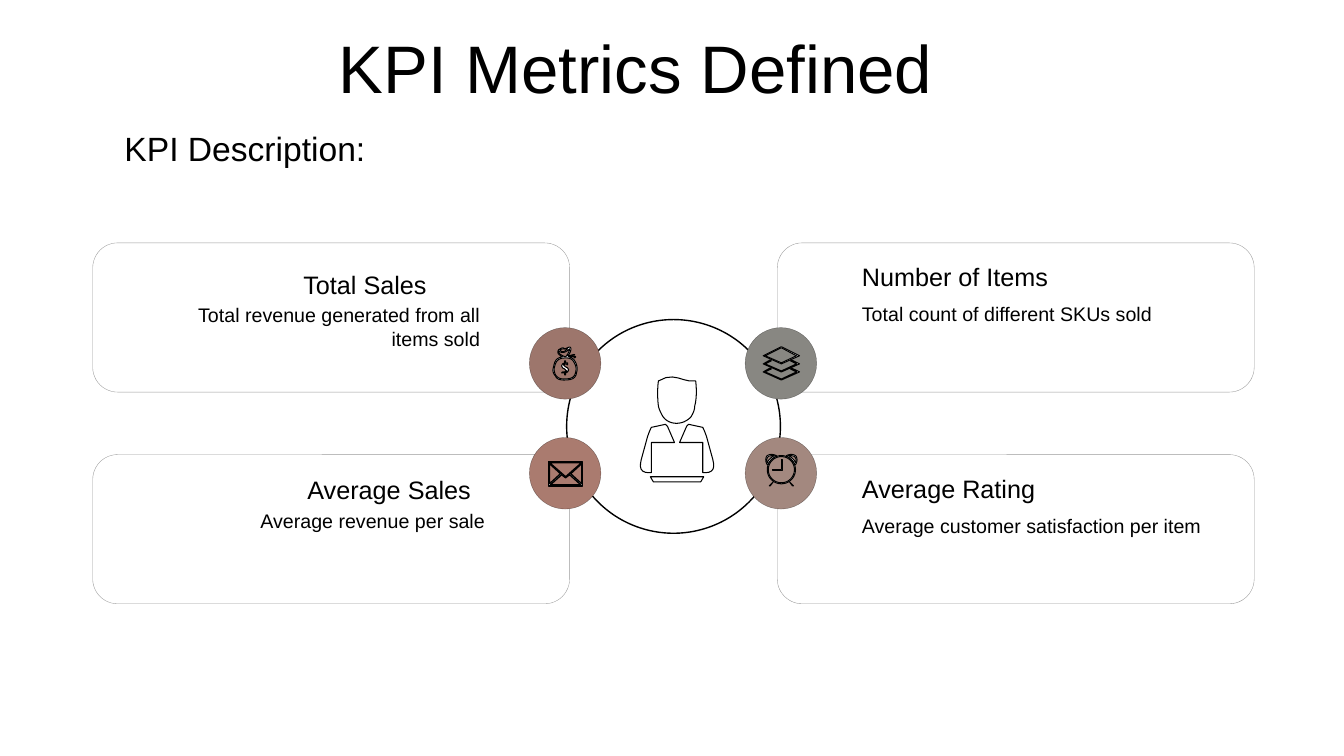
import math

import pptx
import pptx.dml.color
import pptx.enum.shapes
import pptx.enum.text
import pptx.util
from lxml import etree
from pptx.oxml.ns import qn
from pptx.util import Inches

RGBColor = pptx.dml.color.RGBColor
MSO_SHAPE = pptx.enum.shapes.MSO_SHAPE
PP_ALIGN = pptx.enum.text.PP_ALIGN
MSO_ANCHOR = pptx.enum.text.MSO_ANCHOR
MSO_AUTO_SIZE = pptx.enum.text.MSO_AUTO_SIZE

BLACK = RGBColor(0x00, 0x00, 0x00)
WHITE = RGBColor(0xFF, 0xFF, 0xFF)
GREY = RGBColor(0x88, 0x87, 0x82)
TAUPE = RGBColor(0xA3, 0x88, 0x7F)
BROWN = RGBColor(0x9D, 0x76, 0x6C)
TERRACOTTA = RGBColor(0xAA, 0x7B, 0x6F)

CARD_SIZE = (4.73, 1.48)
CARD_LEFTS, CARD_TOPS = (0.92, 7.71), (2.41, 4.51)
BADGE_SIZE = (0.71, 0.71)
BADGES = [(5.25, 3.25, BROWN), (7.39, 3.25, GREY),
          (5.25, 4.34, TERRACOTTA), (7.39, 4.34, TAUPE)]

# Heading, its box, description, its box, description alignment
METRICS = [
    ("Total Sales", (2.91, 2.62, 1.42, 0.4),
     "Total revenue generated from all items sold", (1.62, 2.96, 3.24, 0.57), PP_ALIGN.RIGHT),
    ("Number of Items", (8.45, 2.54, 2.05, 0.4),
     "Total count of different SKUs sold", (8.45, 2.95, 3.62, 0.34), PP_ALIGN.LEFT),
    ("Average Sales", (2.95, 4.66, 1.82, 0.4),
     "Average revenue per sale", (1.67, 5, 3.24, 0.34), PP_ALIGN.RIGHT),
    ("Average Rating", (8.45, 4.65, 1.92, 0.4),
     "Average customer satisfaction per item", (8.45, 5.05, 3.62, 0.34), PP_ALIGN.LEFT),
]


# Outline geometry
def curve(*controls, steps=6):
    """Sample joined cubic curves: a start, then three points per curve."""
    points = [controls[0]]
    for index in range(0, len(controls) - 1, 3):
        a, b, c, d = controls[index:index + 4]
        for step in range(1, steps + 1):
            t = step / steps
            u = 1 - t
            points.append(tuple(u**3 * a[i] + 3 * u * u * t * b[i] + 3 * u * t * t * c[i]
                                + t**3 * d[i] for i in (0, 1)))
    return points


def ring(x, y, radius, steps=48):
    return [(x + radius * math.cos(math.tau * i / steps),
             y + radius * math.sin(math.tau * i / steps)) for i in range(steps)]


def mirrored(contours, axis):
    return [[(2 * axis - x, y) for x, y in contour] for contour in contours]


def lowered(contours, distance):
    return [[(x, y + distance) for x, y in contour] for contour in contours]


def layers_icon():
    top_sheet = [[(7.75, 3.61), (7.93, 3.53), (7.75, 3.44), (7.57, 3.53)],
                 [(7.75, 3.45), (7.9, 3.53), (7.75, 3.6), (7.59, 3.53)]]
    sheet = [[(7.84, 3.58), (7.9, 3.61), (7.75, 3.68), (7.59, 3.61), (7.65, 3.58), (7.64, 3.57),
              (7.57, 3.61), (7.75, 3.69), (7.93, 3.61), (7.85, 3.57)]]
    return [top_sheet, lowered(sheet, 0.08), sheet]


def clock_icon():
    leg = [[(7.67, 4.78), (7.63, 4.82), (7.64, 4.82)]]
    face = [ring(7.75, 4.66, 0.14), ring(7.75, 4.66, 0.13)] + leg + mirrored(leg, 7.75)
    bell = [
        curve((7.61, 4.61), (7.62, 4.61), (7.62, 4.61), (7.62, 4.6),
              (7.62, 4.6), (7.63, 4.58), (7.65, 4.56), (7.67, 4.54), (7.69, 4.53), (7.7, 4.52),
              (7.68, 4.51), (7.64, 4.5), (7.61, 4.52), (7.59, 4.54), (7.59, 4.58), (7.61, 4.61)),
        curve((7.62, 4.53), (7.63, 4.52), (7.66, 4.52), (7.68, 4.52),
              (7.66, 4.53), (7.62, 4.56), (7.61, 4.59), (7.6, 4.57), (7.6, 4.55), (7.62, 4.53)),
    ]
    hands = [[(7.75, 4.56), (7.76, 4.56), (7.76, 4.67), (7.66, 4.67), (7.66, 4.66), (7.75, 4.66)]]
    return [face, bell, mirrored(bell, 7.75), hands]


def envelope_icon():
    side = [[(5.45, 4.6), (5.45, 4.8), (5.56, 4.7)]]
    return [[[(5.57, 4.71), (5.46, 4.81), (5.76, 4.81), (5.65, 4.71), (5.61, 4.74)],
             [(5.45, 4.59), (5.61, 4.73), (5.77, 4.59)],
             [(5.44, 4.58), (5.78, 4.58), (5.78, 4.82), (5.44, 4.82)],
             *side, *mirrored(side, 5.61)]]


def money_bag_icon():
    bag = [
        curve((5.7, 3.58), (5.69, 3.56), (5.67, 3.55), (5.64, 3.54),
              (5.66, 3.54), (5.69, 3.53), (5.7, 3.55), (5.7, 3.55), (5.71, 3.54), (5.71, 3.54),
              (5.7, 3.53), (5.67, 3.54), (5.64, 3.54), (5.66, 3.53), (5.68, 3.52), (5.7, 3.52),
              (5.69, 3.51), (5.66, 3.53), (5.63, 3.53), (5.65, 3.51), (5.67, 3.47), (5.66, 3.45),
              (5.65, 3.43), (5.62, 3.46), (5.6, 3.46), (5.58, 3.44), (5.56, 3.46), (5.54, 3.47),
              (5.52, 3.5), (5.54, 3.52), (5.58, 3.54), (5.51, 3.55), (5.5, 3.59), (5.49, 3.64),
              (5.48, 3.67), (5.48, 3.7), (5.51, 3.73), (5.52, 3.76), (5.55, 3.77), (5.59, 3.77),
              (5.67, 3.77), (5.71, 3.76), (5.72, 3.69), (5.73, 3.65), (5.72, 3.61), (5.7, 3.58)),
        curve((5.59, 3.46), (5.6, 3.46), (5.62, 3.46), (5.63, 3.46),
              (5.61, 3.48), (5.58, 3.51), (5.55, 3.47), (5.56, 3.47), (5.57, 3.46), (5.59, 3.46)),
        curve((5.54, 3.5), (5.54, 3.49), (5.54, 3.49), (5.54, 3.48),
              (5.57, 3.51), (5.61, 3.5), (5.65, 3.46), (5.65, 3.48), (5.63, 3.52), (5.61, 3.54),
              (5.57, 3.53), (5.55, 3.51), (5.54, 3.5)),
        curve((5.71, 3.69), (5.7, 3.75), (5.66, 3.76), (5.59, 3.76),
              (5.56, 3.76), (5.53, 3.75), (5.51, 3.72), (5.5, 3.7), (5.49, 3.67), (5.5, 3.64),
              (5.51, 3.59), (5.53, 3.55), (5.61, 3.55), (5.66, 3.55), (5.68, 3.57), (5.69, 3.59),
              (5.71, 3.62), (5.72, 3.65), (5.71, 3.69)),
    ]
    dollar = [(5.61, 3.64), (5.59, 3.62), (5.61, 3.61), (5.63, 3.62), (5.63, 3.6), (5.61, 3.6),
              (5.61, 3.58), (5.6, 3.58), (5.6, 3.6), (5.58, 3.61), (5.57, 3.63), (5.58, 3.65),
              (5.6, 3.66), (5.62, 3.68), (5.6, 3.69), (5.58, 3.69), (5.57, 3.7), (5.6, 3.7),
              (5.6, 3.72), (5.61, 3.72), (5.61, 3.7), (5.63, 3.69), (5.64, 3.67), (5.63, 3.65)]
    return [bag, [dollar]]


def person_icon():
    head = curve((6.53, 4.03), (6.52, 3.94), (6.52, 3.86), (6.53, 3.78),
                 (6.69, 3.68), (6.77, 3.8), (6.9, 3.78), (6.91, 3.86), (6.91, 3.96), (6.89, 4.03),
                 (6.89, 4.07), (6.87, 4.11), (6.85, 4.14), (6.81, 4.18), (6.76, 4.2), (6.71, 4.2),
                 (6.66, 4.2), (6.61, 4.18), (6.58, 4.14), (6.56, 4.11), (6.54, 4.07), (6.53, 4.03))
    keyboard = [(6.45, 4.73), (6.98, 4.73), (6.95, 4.78), (6.48, 4.78)]
    arm = [curve((6.97, 4.24), (6.99, 4.28), (7, 4.31), (7.01, 4.34))
           + curve((7.07, 4.56), (7.09, 4.64), (7.08, 4.69), (6.99, 4.69))
           + [(6.97, 4.69), (6.97, 4.39), (6.74, 4.39), (6.81, 4.23), (6.83, 4.21)]]
    return [[head, keyboard, *arm, *mirrored(arm, 6.715)]]


# Element builders
def set_alpha(color_parent, percent):
    color = color_parent.find(".//" + qn("a:srgbClr"))
    etree.SubElement(color, qn("a:alpha")).set("val", str(percent * 1000))


def paint(shape, fill, line_width, fill_alpha=None, line_alpha=None):
    shape.shadow.inherit = False
    if fill is None:
        shape.fill.background()
    else:
        shape.fill.solid()
        shape.fill.fore_color.rgb = fill
    shape.line.color.rgb = BLACK
    shape.line.width = pptx.util.Pt(line_width)
    properties = shape._element.spPr
    if fill_alpha:
        set_alpha(properties.find(qn("a:solidFill")), fill_alpha)
    if line_alpha:
        set_alpha(properties.find(qn("a:ln")), line_alpha)


def add_preset(slide, kind, box, *paint_values, **alphas):
    shape = slide.shapes.add_shape(kind, *map(Inches, box))
    paint(shape, *paint_values, **alphas)


def add_icon(slide, outlines, line_width=0.75, **alphas):
    shapes = slide.shapes.add_group_shape().shapes if len(outlines) > 1 else slide.shapes
    for contours in outlines:
        contours = [[(Inches(x), Inches(y)) for x, y in contour] for contour in contours]
        builder = shapes.build_freeform(*contours[0][0])
        for index, contour in enumerate(contours):
            if index:
                builder.move_to(*contour[0])
            builder.add_line_segments(contour[1:], close=True)
        paint(builder.convert_to_shape(), WHITE, line_width, **alphas)


def write_text(shape, text, box, size, frame_format, paragraph_format):
    shape.left, shape.top, shape.width, shape.height = map(Inches, box)
    frame = shape.text_frame
    frame.text = text
    paragraph = frame.paragraphs[0]
    font_format = {"name": "Arial", "size": pptx.util.Pt(size)}
    for target, values in ((frame, frame_format), (paragraph, paragraph_format),
                           (paragraph.font, font_format)):
        for name, value in values.items():
            setattr(target, name, value)
    paragraph.font.color.rgb = BLACK


def add_text(slide, text, box, size, alignment=PP_ALIGN.LEFT, wrap=True,
             auto_size=MSO_AUTO_SIZE.SHAPE_TO_FIT_TEXT):
    shape = slide.shapes.add_textbox(*map(Inches, box))
    write_text(shape, text, box, size, {"word_wrap": wrap, "auto_size": auto_size},
               {"alignment": alignment})


def main():
    presentation = pptx.Presentation()
    presentation.slide_width, presentation.slide_height = Inches(13.33), Inches(7.5)
    slide = presentation.slides.add_slide(presentation.slide_layouts[5])

    # Title and subtitle
    write_text(slide.shapes.title, "KPI Metrics Defined", (3.26, 0, 7.38, 1.12), 48,
               {"vertical_anchor": MSO_ANCHOR.BOTTOM, "auto_size": MSO_AUTO_SIZE.NONE},
               {"alignment": PP_ALIGN.LEFT, "line_spacing": 0.9})
    add_text(slide, "KPI Description:", (0, 1.22, 4.86, 0.51), 24, PP_ALIGN.CENTER,
             auto_size=MSO_AUTO_SIZE.NONE)

    # Cards, hub and badges
    for top in CARD_TOPS:
        for left in CARD_LEFTS:
            add_preset(slide, MSO_SHAPE.ROUNDED_RECTANGLE, (left, top, *CARD_SIZE),
                       None, 0.25, line_alpha=40)
    add_preset(slide, MSO_SHAPE.OVAL, (5.62, 3.17, 2.12, 2.12), WHITE, 1, fill_alpha=20)
    for left, top, color in BADGES:
        add_preset(slide, MSO_SHAPE.OVAL, (left, top, *BADGE_SIZE), color, 0.25, line_alpha=40)

    # Icons
    for outlines in (layers_icon(), clock_icon(), money_bag_icon()):
        add_icon(slide, outlines)
    add_icon(slide, envelope_icon(), line_width=1)
    add_icon(slide, person_icon(), fill_alpha=50)

    # Metric texts
    for heading, heading_box, description, description_box, alignment in METRICS:
        add_text(slide, heading, heading_box, 18, wrap=False)
        add_text(slide, description, description_box, 14, alignment)

    presentation.save("out.pptx")


if __name__ == "__main__":
    main()
